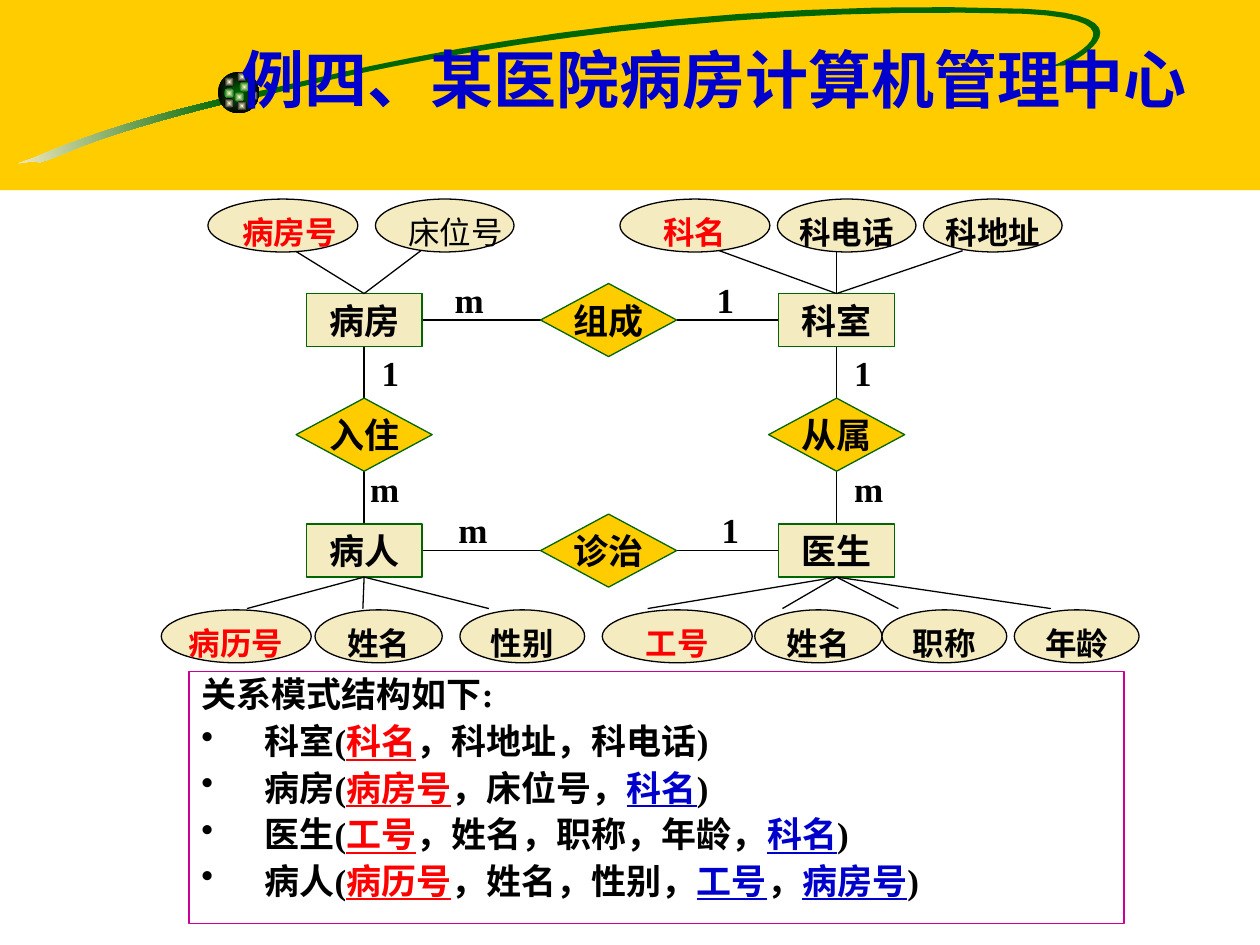
import math
from lxml import etree
from pptx import Presentation
from pptx.dml.color import RGBColor
from pptx.enum.shapes import MSO_CONNECTOR, MSO_SHAPE
from pptx.enum.text import MSO_ANCHOR, PP_ALIGN
from pptx.oxml.ns import qn
from pptx.util import Inches, Pt

RECT, OVAL, GEM = MSO_SHAPE.RECTANGLE, MSO_SHAPE.OVAL, MSO_SHAPE.DIAMOND
LINE = MSO_CONNECTOR.STRAIGHT
TOP, MID = MSO_ANCHOR.TOP, MSO_ANCHOR.MIDDLE
LEFT, MIDST = PP_ALIGN.LEFT, PP_ALIGN.CENTER
GOLD, CREAM, GREEN, BLACK = "FFCC00", "F5EBC1", "006600", "000000"
RED, BLUE, PINK, PALE = "FF0000", "0000CC", "CC0099", "FFFFCC"


def tint(code):
    return RGBColor.from_string(code)


class Sheet:
    face = "Times New Roman"
    wide = "Noto Sans CJK JP"

    def __init__(self, slide):
        self.slide = slide
        self.items = slide.shapes

    def style(self, run, size, color=BLACK, bold=True, face=None):
        font = run.font
        font.size, font.bold, font.name = Pt(size), bold, face or self.face
        font.color.rgb = tint(color)
        east = etree.SubElement(run._r.get_or_add_rPr(), qn("a:ea"))
        east.set("typeface", self.wide)

    def letter(self, shape, text, size, color=BLACK, bold=True, align=MIDST,
               anchor=MID, wrap=False, face=None):
        frame = shape.text_frame
        frame.text = text
        frame.word_wrap, frame.vertical_anchor = wrap, anchor
        para = frame.paragraphs[0]
        para.alignment = align
        self.style(para.runs[0], size, color, bold, face)

    def shape(self, kind, x, y, w, h, fill=None, line=None):
        item = self.items.add_shape(kind, Inches(x), Inches(y), Inches(w), Inches(h))
        self.paint(item, fill, line)
        return item

    def paint(self, item, fill, line=None):
        item.shadow.inherit = False
        if fill:
            item.fill.solid()
            item.fill.fore_color.rgb = tint(fill)
        else:
            item.fill.background()
        if line:
            item.line.color.rgb = tint(line)
            item.line.width = Pt(0.75)
        else:
            item.line.fill.background()

    def blend(self, item, first, last, round_out=False):
        item.fill.gradient()
        for stop, code in zip(item.fill.gradient_stops, (first, last)):
            stop.color.rgb = tint(code)
        item.fill.gradient_angle = 0
        if round_out:
            lin = item._element.spPr.find(".//" + qn("a:lin"))
            way = etree.Element(qn("a:path"), {"path": "rect"})
            etree.SubElement(way, qn("a:fillToRect"), {side: "50000" for side in "ltrb"})
            lin.getparent().replace(lin, way)

    def ball(self, x, y, size, first, last):
        self.blend(self.shape(OVAL, x, y, size, size, GREEN), first, last, True)

    def swoosh(self, start, curves, tilt=8.5, steps=16):
        dots, here = [complex(*start)], complex(*start)
        for curve in curves:
            a, b, end = (complex(*dot) for dot in curve)
            for step in range(1, steps + 1):
                t = step / steps
                s = 1 - t
                dots.append(s**3 * here + 3 * s * s * t * a + 3 * s * t * t * b + t**3 * end)
            here = end
        turn = complex(math.cos(math.radians(tilt)), math.sin(math.radians(tilt)))
        spots = [(Inches(d.real), Inches(d.imag)) for d in (dot * turn for dot in dots)]
        pen = self.items.build_freeform(*spots[0])
        pen.add_line_segments(spots[1:], close=True)
        item = pen.convert_to_shape()
        self.paint(item, GREEN)
        hub = complex(item.left + item.width / 2, item.top + item.height / 2) / turn
        item.left = int(hub.real - item.width / 2)
        item.top = int(hub.imag - item.height / 2)
        item.rotation = 360 - tilt
        return item

    def node(self, kind, x, y, w, h, fill, text):
        item = self.shape(kind, x - w / 2, y - h / 2, w, h, fill, GREEN)
        self.letter(item, text, 20)

    def trait(self, x, y, w, text, color=BLACK, bold=True, align=MIDST):
        item = self.shape(OVAL, x, y, w, 0.42, CREAM, BLACK)
        self.letter(item, text, 18, color, bold, align, TOP)

    def tie(self, x1, y1, x2, y2):
        item = self.items.add_connector(LINE, Inches(x1), Inches(y1), Inches(x2), Inches(y2))
        item.line.color.rgb = tint(BLACK)
        item.line.width = Pt(0.75)
        etree.SubElement(item._element.spPr, qn("a:effectLst"))

    def label(self, x, y, w, h, text, size=20, **look):
        box = self.items.add_textbox(Inches(x), Inches(y), Inches(w), Inches(h))
        self.letter(box, text, size, wrap=True, **look)

    def panel(self, x, y, w, h, rows):
        frame = self.shape(RECT, x, y, w, h, line=PINK).text_frame
        frame.word_wrap, frame.vertical_anchor = True, TOP
        for num, row in enumerate(rows):
            para = frame.add_paragraph() if num else frame.paragraphs[0]
            para.alignment, para.line_spacing, para.space_before = LEFT, 0.9, Pt(5)
            props = para._p.get_or_add_pPr()
            props.set("marL", str(Inches(0.5)))
            props.set("indent", str(-Inches(0.5)))
            if num:
                etree.SubElement(props, qn("a:buChar"), {"char": "•"})
            for text, color in row:
                run = para.add_run()
                run.text = text
                self.style(run, 20, color)
                run.font.underline = color != BLACK


def main():
    deck = Presentation()
    deck.slide_width, deck.slide_height = Inches(10), Inches(7.5)
    sheet = Sheet(deck.slides.add_slide(deck.slide_layouts[6]))

    sheet.shape(RECT, 0, 0, 10, 1.51, GOLD)
    tail = sheet.swoosh((1.78, 0.78), [
        ((0.91, 0.98), (0.49, 1.16), (0.25, 1.26)),
        ((0.01, 1.34), (0.26, 1.26), (0.31, 1.29)),
        ((0.57, 1.22), (0.57, 1.13), (1.79, 0.82))])
    sheet.blend(tail, CREAM, GREEN)
    sheet.swoosh((2.02, 0.73), [
        ((2.46, 0.65), (4.86, -0.05), (8.14, 0.07)),
        ((9.17, 0.12), (8.57, 0.47), (8.45, 0.52)),
        ((8.45, 0.52), (8.38, 0.52), (8.34, 0.53)),
        ((8.44, 0.49), (9.16, 0.16), (8.13, 0.11)),
        ((5.48, 0.03), (3.2, 0.47), (2.06, 0.77))])
    sheet.ball(1.73, 0.57, 0.33, GREEN, BLACK)
    for x, y, rim in [(1.9, 0.65, GREEN), (1.78, 0.61, BLACK), (1.78, 0.7, GREEN),
                      (1.86, 0.73, GREEN), (1.97, 0.72, BLACK), (1.88, 0.8, BLACK),
                      (1.78, 0.78, BLACK), (1.88, 0.57, BLACK)]:
        sheet.ball(x, y, 0.08, PALE, rim)
    sheet.label(1.42, 0, 8.5, 1.25, "例四、某医院病房计算机管理中心", 36,
                color=BLUE, align=MIDST, face=sheet.wide)

    sheet.panel(1.5, 5.33, 7.42, 2, [
        [("关系模式结构如下:", BLACK)],
        [("科室(", BLACK), ("科名", RED), ("，科地址，科电话)", BLACK)],
        [("病房(", BLACK), ("病房号", RED), ("，床位号，", BLACK), ("科名", BLUE), (")", BLACK)],
        [("医生(", BLACK), ("工号", RED), ("，姓名，职称，年龄，", BLACK),
         ("科名", BLUE), (")", BLACK)],
        [("病人(", BLACK), ("病历号", RED), ("，姓名，性别，", BLACK), ("工号", BLUE),
         ("，", BLACK), ("病房号", BLUE), (")", BLACK)]])

    west, mid, east = 2.89, 4.83, 6.64
    north, waist, south = 2.54, 3.45, 4.37
    box, gem = (0.92, 0.42), (1.08, 0.58)
    for y in (north, south):
        sheet.tie(west + box[0] / 2, y, mid - gem[0] / 2, y)
        sheet.tie(mid + gem[0] / 2, y, east - box[0] / 2, y)
    for x in (west, east):
        sheet.tie(x, north + box[1] / 2, x, waist - gem[1] / 2)
        sheet.tie(x, waist + gem[1] / 2, x, south - box[1] / 2)
    for x, y, text in [(west, north, "病房"), (east, north, "科室"),
                       (west, south, "病人"), (east, south, "医生")]:
        sheet.node(RECT, x, y, *box, CREAM, text)
    for x, y, text in [(mid, north, "组成"), (west, waist, "入住"),
                       (east, waist, "从属"), (mid, south, "诊治")]:
        sheet.node(GEM, x, y, *gem, GOLD, text)
    for x, y, text in [(2.84, 3.66, "m"), (2.93, 2.74, "1"), (3.51, 2.16, "m"),
                       (5.59, 2.16, "1"), (6.68, 3.66, "m"), (6.68, 2.74, "1"),
                       (3.54, 3.99, "m"), (5.63, 3.99, "1")]:
        sheet.label(x, y, 0.43, 0.44, text, align=LEFT, anchor=TOP)

    high, low = north - box[1] / 2, south + box[1] / 2
    for x, y, rim, ends in [(west, high, 1.99, (2.34, 3.34)),
                            (east, high, 1.99, (5.71, 6.64, 7.64)),
                            (west, low, 4.83, (1.96, 2.88, 3.88)),
                            (east, low, 4.83, (5.14, 6.21, 7.13, 8.34))]:
        for end in ends:
            sheet.tie(x, y, end, rim)

    sheet.trait(1.65, 1.58, 1.19, "病房号", RED, align=LEFT)
    sheet.trait(2.98, 1.58, 1.1, "床位号", bold=False, align=LEFT)
    for x, y, w, text, color in [
            (4.92, 1.58, 1.19, "科名", RED), (6.17, 1.58, 1.1, "科电话", BLACK),
            (7.33, 1.58, 1.1, "科地址", BLACK), (1.28, 4.84, 1.19, "病历号", RED),
            (2.5, 4.84, 1.01, "姓名", BLACK), (3.65, 4.84, 0.99, "性别", BLACK),
            (4.78, 4.84, 1.19, "工号", RED), (5.99, 4.84, 1.01, "姓名", BLACK),
            (7, 4.84, 0.99, "职称", BLACK), (8.05, 4.84, 0.99, "年龄", BLACK)]:
        sheet.trait(x, y, w, text, color)

    deck.save("out.pptx")


if __name__ == "__main__":
    main()
